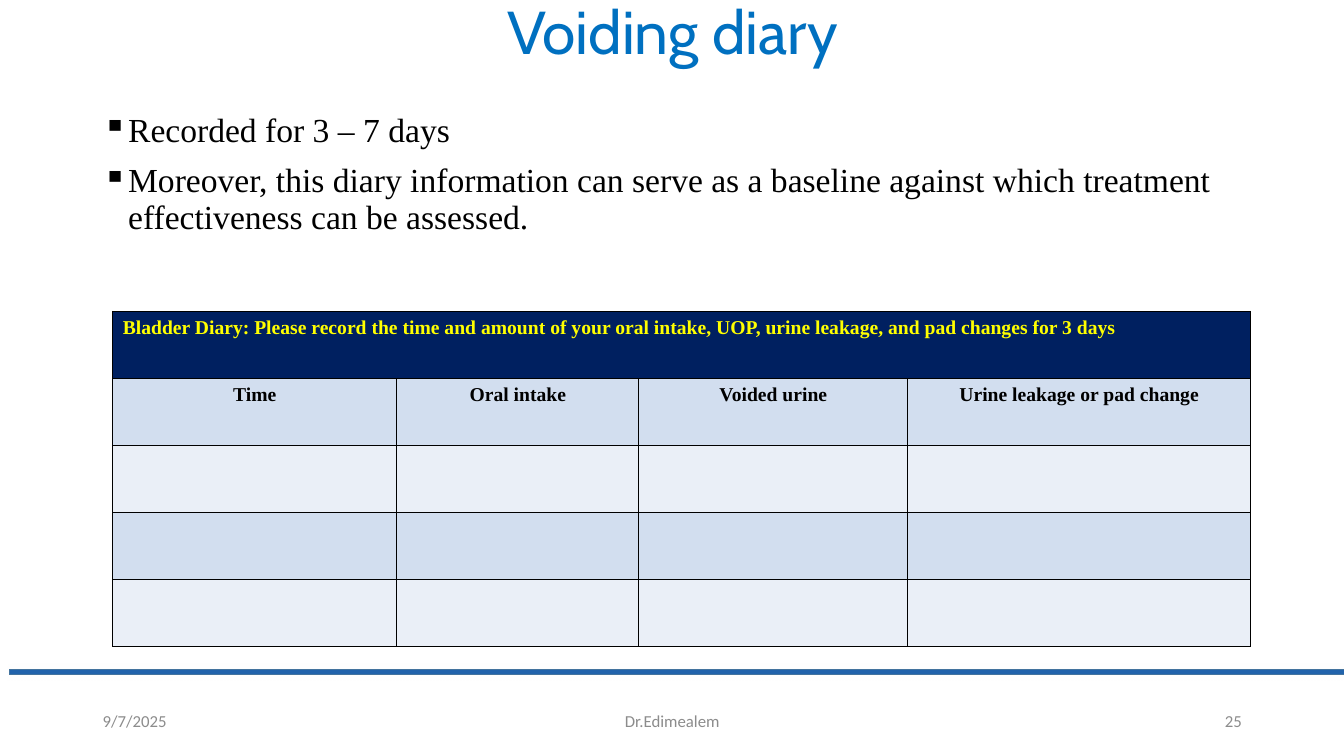
from dataclasses import dataclass

from lxml import etree
from pptx import Presentation
from pptx.dml.color import RGBColor
from pptx.enum.shapes import MSO_SHAPE
from pptx.enum.text import MSO_ANCHOR, PP_ALIGN
from pptx.oxml.ns import qn
from pptx.slide import Slide
from pptx.table import _Cell
from pptx.text.text import _Paragraph
from pptx.util import Cm, Pt

LEFT, MID, RIGHT = PP_ALIGN.LEFT, PP_ALIGN.CENTER, PP_ALIGN.RIGHT
TOP, CENTER = MSO_ANCHOR.TOP, MSO_ANCHOR.MIDDLE
RECT = MSO_SHAPE.RECTANGLE

HEX = {
    "title": "0070C0", "black": "000000", "gray": "8C8C8C",
    "bar": "2163AB", "edge": "43739E", "navy": "002060",
    "yellow": "FFFF00", "dark": "D2DEEF", "light": "EAEFF7",
}
SERIF = "Times New Roman"


@dataclass
class Font:
    name: str
    size: float
    color: str
    bold: bool = False


@dataclass
class Label:
    lines: list[str]
    box: tuple[float, float, float, float]
    font: Font
    align: PP_ALIGN = LEFT
    anchor: MSO_ANCHOR = CENTER
    space: float = 1.0
    bullet: str = ""


SMALL = Font("Calibri", 12, "gray")
HEAD = Font(SERIF, 14, "yellow", True)
NAME = Font(SERIF, 14, "black", True)

LABELS = [
    Label(["Voiding diary"], (2.34, 0, 29.21, 1.75),
          Font("Cabin", 43.2, "title"), MID, space=0.9),
    Label(["Recorded for 3 – 7 days",
           "Moreover, this diary information can serve as a baseline against "
           "which treatment effectiveness can be assessed."],
          (2.34, 2.74, 29.21, 14.43), Font(SERIF, 24, "black"),
          anchor=TOP, space=0.9, bullet="▪"),
    Label(["9/7/2025"], (2.34, 17.65, 7.62, 1.02), SMALL),
    Label(["Dr.Edimealem"], (11.23, 17.65, 11.43, 1.02), SMALL, MID),
    Label(["25"], (23.93, 17.65, 7.62, 1.02), SMALL, RIGHT),
]

TITLE = ("Bladder Diary: Please record the time and amount of your oral "
         "intake, UOP, urine leakage, and pad changes for 3 days")
COLS = {"Time": 7.16, "Oral intake": 6.1, "Voided urine": 6.78,
        "Urine leakage or pad change": 8.64}
FILLS = ["navy", "dark", "light", "dark", "light"]
ROW = 1.69


def rgb(key: str) -> RGBColor:
    return RGBColor.from_string(HEX[key])


def style(par: _Paragraph, font: Font, align: PP_ALIGN) -> None:
    par.alignment = align
    par.font.name = font.name
    par.font.size = Pt(font.size)
    par.font.bold = font.bold
    par.font.color.rgb = rgb(font.color)


def write(slide: Slide, label: Label) -> None:
    frame = slide.shapes.add_textbox(*map(Cm, label.box)).text_frame
    frame.word_wrap = True
    frame.vertical_anchor = label.anchor
    for i, line in enumerate(label.lines):
        par = frame.paragraphs[0] if i == 0 else frame.add_paragraph()
        par.text = line
        par.line_spacing = label.space
        if i:
            par.space_before = Pt(10)
        if label.bullet:
            props = par._p.get_or_add_pPr()
            props.set("marL", str(Cm(0.64)))
            props.set("indent", str(Cm(-0.64)))
            etree.SubElement(props, qn("a:buChar")).set("char", label.bullet)
        style(par, label.font, label.align)


def paint(parent: etree._Element, key: str) -> etree._Element:
    fill = etree.SubElement(parent, qn("a:solidFill"))
    tint = etree.SubElement(fill, qn("a:srgbClr"))
    tint.set("val", HEX[key])
    return tint


def frame_cell(cell: _Cell, fill: str) -> None:
    props = cell._tc.get_or_add_tcPr()
    for side in ("lnL", "lnR", "lnT", "lnB"):
        line = etree.SubElement(props, qn(f"a:{side}"))
        line.set("w", str(Pt(1)))
        paint(line, "black")
    cell.fill.solid()
    cell.fill.fore_color.rgb = rgb(fill)


def add_bar(slide: Slide) -> None:
    bar = slide.shapes.add_shape(RECT, Cm(0.23), Cm(16.87), Cm(33.64), Cm(0.13))
    bar.fill.solid()
    bar.fill.fore_color.rgb = rgb("bar")
    bar.line.color.rgb = rgb("edge")
    bar.line.width = Pt(0.5)
    # Soft shadow to the right
    bar.shadow.inherit = False
    effect = bar._element.spPr.find(qn("a:effectLst"))
    shade = etree.SubElement(effect, qn("a:outerShdw"))
    shade.set("blurRad", str(Pt(4)))
    shade.set("dist", str(Pt(3)))
    shade.set("dir", "0")
    alpha = etree.SubElement(paint(shade, "black"), qn("a:alpha"))
    alpha.set("val", "40000")


def add_diary(slide: Slide) -> None:
    table = slide.shapes.add_table(
        len(FILLS), len(COLS), Cm(2.84), Cm(7.85),
        Cm(sum(COLS.values())), Cm(ROW * len(FILLS))).table
    table.first_row = False
    table.horz_banding = False
    for col, width in zip(table.columns, COLS.values()):
        col.width = Cm(width)
    for row, fill in zip(table.rows, FILLS):
        row.height = Cm(ROW)
        for cell in row.cells:
            frame_cell(cell, fill)

    # Heading across all columns, then column names
    head = table.cell(0, 0)
    head.merge(table.cell(0, len(COLS) - 1))
    head.text = TITLE
    style(head.text_frame.paragraphs[0], HEAD, LEFT)
    for i, name in enumerate(COLS):
        cell = table.cell(1, i)
        cell.text = name
        style(cell.text_frame.paragraphs[0], NAME, MID)


def main() -> None:
    deck = Presentation()
    deck.slide_width, deck.slide_height = Cm(33.87), Cm(19.05)
    slide = deck.slides.add_slide(deck.slide_layouts[6])
    add_bar(slide)
    for label in LABELS:
        write(slide, label)
    add_diary(slide)
    deck.save("out.pptx")


if __name__ == "__main__":
    main()
